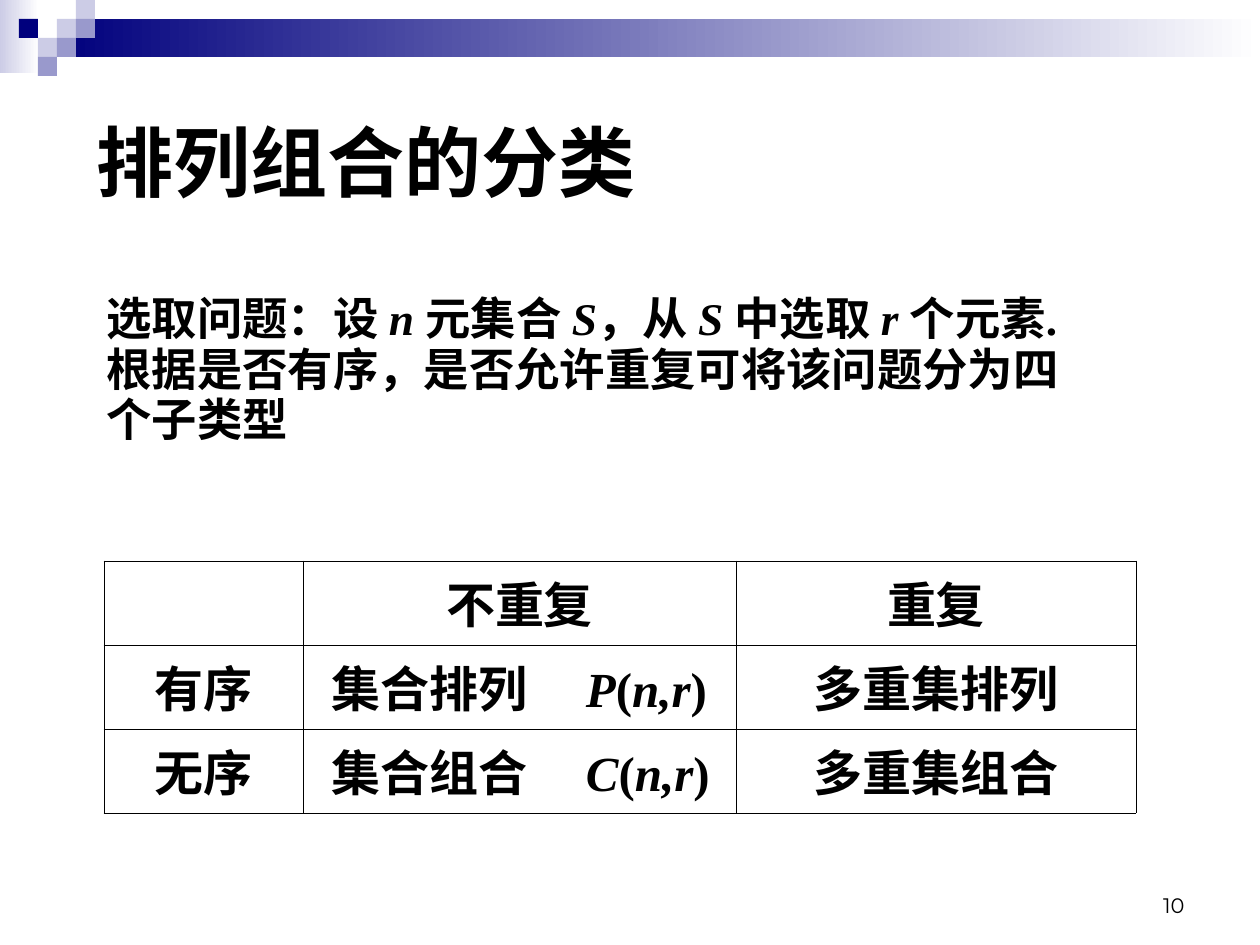
from lxml.etree import SubElement
from pptx import Presentation
from pptx.dml.color import RGBColor
from pptx.enum.shapes import MSO_SHAPE
from pptx.enum.text import MSO_ANCHOR as ANCHOR, PP_ALIGN as ALIGN
from pptx.oxml.ns import qn
from pptx.util import Emu, Pt

PX_PER_INCH = 126
NAVY, LILAC, LAVENDER = "00007D", "9999CC", "CCCCE6"
WHITE, BLACK = "FFFFFF", "000000"
TITLE_FONT = {"name": "Arial", "size": Pt(44), "bold": True}
BODY_FONT = {"name": "Times New Roman", "size": Pt(25.9), "bold": True}
TABLE_FONT = {"name": "Times New Roman", "size": Pt(28), "bold": True}
NUMBER_FONT = {"name": "Montserrat", "size": Pt(12), "bold": False}


def px(length):
    return Emu(round(length * 914400 / PX_PER_INCH))


def color(value):
    return RGBColor.from_string(value)


def write(paragraph, text, font, align=ALIGN.LEFT):
    """Fill a paragraph; parts between asterisks are italic."""
    paragraph.alignment = align
    for index, part in enumerate(text.split("*")):
        if not part:
            continue
        run = paragraph.add_run()
        run.text = part
        for name, value in font.items():
            setattr(run.font, name, value)
        run.font.italic = index % 2 == 1
        run.font.color.rgb = color(BLACK)


def add_box(slide, box, fills):
    """Add a rectangle with one plain colour or a two-colour gradient."""
    shape = slide.shapes.add_shape(MSO_SHAPE.RECTANGLE, *map(px, box))
    shape.shadow.inherit = False
    shape.line.fill.background()
    if len(fills) == 1:
        shape.fill.solid()
        shape.fill.fore_color.rgb = color(fills[0])
    else:
        shape.fill.gradient()
        shape.fill.gradient_angle = 0
        for stop, position, fill in zip(shape.fill.gradient_stops, (0, 1), fills):
            stop.position = position
            stop.color.rgb = color(fill)


def add_header_band(slide, left, top, width, tile):
    add_box(slide, (left, top, 2 * tile + 1, 73), (LAVENDER, WHITE))
    add_box(slide, (left + 3 * tile, top + tile, width - 3 * tile, 2 * tile),
            (NAVY, WHITE))
    # Tiles: column, row, colour
    tiles = [(3, 1, LAVENDER), (4, 0, LAVENDER), (4, 1, LILAC), (2, 2, LAVENDER),
             (1, 1, NAVY), (3, 2, LILAC), (2, 3, LILAC)]
    for column, row, fill in tiles:
        add_box(slide, (left + column * tile, top + row * tile, tile, tile), (fill,))


def place_title(slide, box, text):
    title = slide.shapes.title
    title.left, title.top, title.width, title.height = map(px, box)
    title.text_frame.vertical_anchor = ANCHOR.MIDDLE
    write(title.text_frame.paragraphs[0], text, TITLE_FONT)


def add_text(slide, box, lines, font, align=ALIGN.LEFT, anchor=ANCHOR.TOP):
    frame = slide.shapes.add_textbox(*map(px, box)).text_frame
    frame.word_wrap = True
    frame.vertical_anchor = anchor
    for index, line in enumerate(lines):
        paragraph = frame.add_paragraph() if index else frame.paragraphs[0]
        write(paragraph, line, font, align)
        if len(lines) > 1:
            paragraph.line_spacing = 0.9
            paragraph.space_before = Pt(1 if index else 0)


def set_borders(cell):
    properties = cell._tc.get_or_add_tcPr()
    for side in ("a:lnL", "a:lnR", "a:lnT", "a:lnB"):
        line = SubElement(properties, qn(side), w=str(Pt(0.45)))
        SubElement(SubElement(line, qn("a:solidFill")), qn("a:srgbClr"), val=BLACK)


def add_tab_stop(paragraph, position):
    tabs = SubElement(paragraph._p.get_or_add_pPr(), qn("a:tabLst"))
    SubElement(tabs, qn("a:tab"), pos=str(px(position)), algn="l")


def add_types_table(slide, left, top, widths, row_height, rows):
    table = slide.shapes.add_table(
        len(rows), len(widths), px(left), px(top),
        px(sum(widths)), px(row_height * len(rows))).table
    table.first_row = table.horz_banding = False
    for column, width in zip(table.columns, widths):
        column.width = px(width)
    for row, texts in zip(table.rows, rows):
        row.height = px(row_height)
        for cell, text in zip(row.cells, texts):
            set_borders(cell)
            cell.fill.background()
            paragraph = cell.text_frame.paragraphs[0]
            align = ALIGN.CENTER
            if "\t" in text:  # name and formula in two columns
                cell.margin_left = px(29)
                cell.margin_right = 0
                add_tab_stop(paragraph, 254)
                align = ALIGN.LEFT
            write(paragraph, text, TABLE_FONT, align)


def main():
    presentation = Presentation()
    presentation.slide_width, presentation.slide_height = px(1260), px(945)
    slide = presentation.slides.add_slide(presentation.slide_layouts[5])

    add_header_band(slide, 0, 0, 1260, 19)
    place_title(slide, (84, 66, 1134, 189), "排列组合的分类")
    add_text(slide, (94, 290, 1111, 228), [
        "选取问题：设 *n *元集合 *S*，从 *S *中选取 *r *个元素.",
        "根据是否有序，是否允许重复可将该问题分为四",
        "个子类型",
    ], BODY_FONT)
    add_types_table(slide, 104, 561, (199, 433, 400), 84, [
        ("", "不重复", "重复"),
        ("有序", "集合排列\t*P*(*n,r*)", "多重集排列"),
        ("无序", "集合组合\t*C*(*n,r*)", "多重集组合"),
    ])
    # Slide number
    add_text(slide, (903, 861, 294, 63), ["10"], NUMBER_FONT, ALIGN.RIGHT, ANCHOR.BOTTOM)

    presentation.save("out.pptx")


if __name__ == "__main__":
    main()
